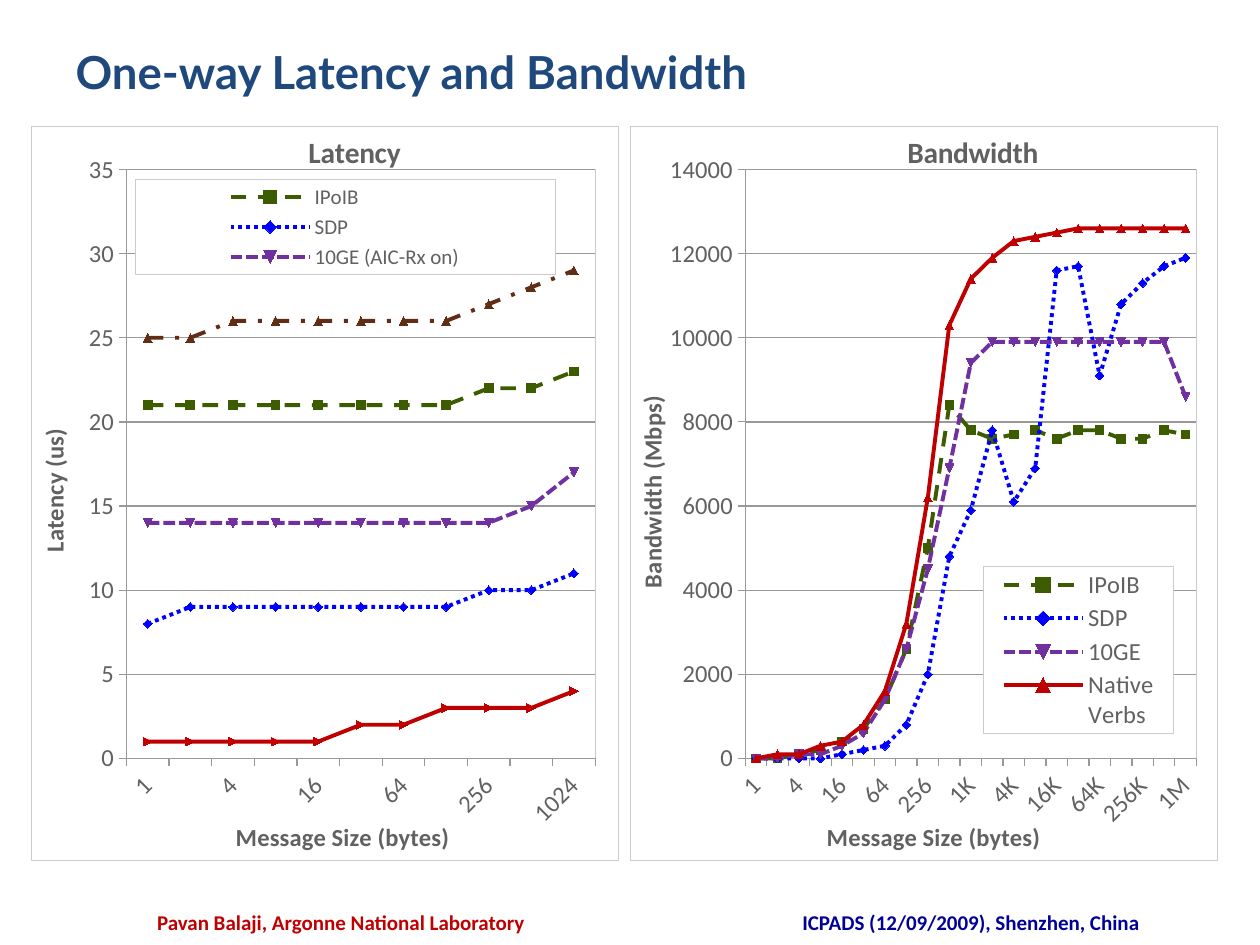
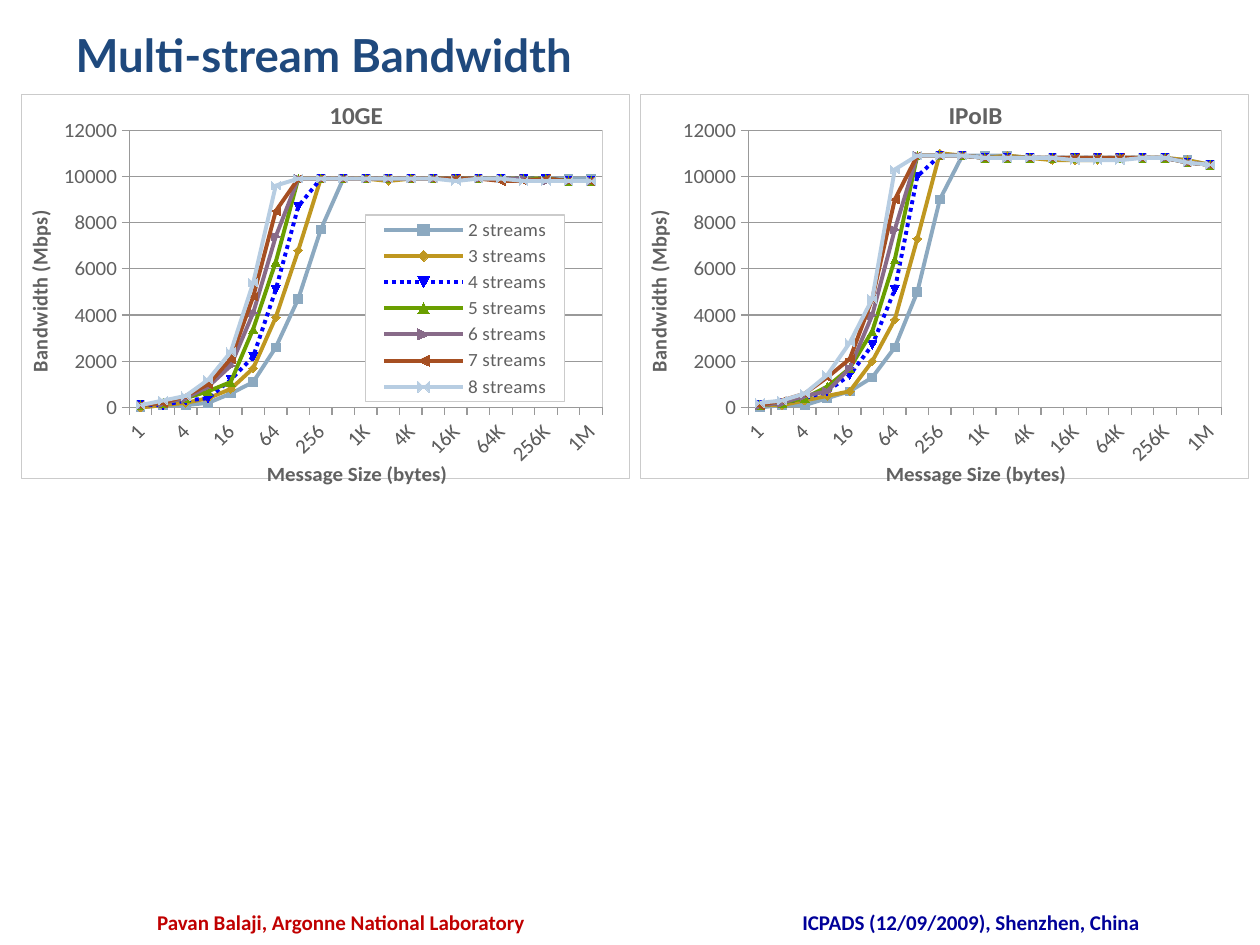
from lxml import etree
from pptx import Presentation
from pptx.chart.data import CategoryChartData
from pptx.dml.color import RGBColor
from pptx.enum.chart import XL_CHART_TYPE, XL_LEGEND_POSITION, XL_TICK_MARK
from pptx.enum.dml import MSO_LINE
from pptx.enum.text import MSO_ANCHOR, PP_ALIGN
from pptx.oxml import parse_xml
from pptx.oxml.ns import nsdecls, qn
from pptx.util import Emu, Pt

LINES = XL_CHART_TYPE.LINE_MARKERS
RIGHT, BOTTOM = XL_LEGEND_POSITION.RIGHT, XL_LEGEND_POSITION.BOTTOM
OUTSIDE = XL_TICK_MARK.OUTSIDE
DASH, DOT = MSO_LINE.DASH, MSO_LINE.ROUND_DOT
SHORT, MIXED = MSO_LINE.SQUARE_DOT, MSO_LINE.DASH_DOT
CENTER, LEFT, TOP = PP_ALIGN.CENTER, PP_ALIGN.LEFT, MSO_ANCHOR.TOP

COLORS = {
    "title": "1F497D", "author": "C00000", "venue": "000099",
    "text": "616161", "frame": "CBCBCB", "grid": "999999",
    "green": "3D5C00", "blue": "0000FF", "purple": "7030A0",
    "brown": "602E14", "red": "C00000", "steel": "8CA9C0",
    "gold": "BF9720", "lime": "6A9F00", "plum": "886B89",
    "rust": "A64F22", "pale": "B7CDE2",
}
BODY, HEAD = "Calibri", "Lato"

# Each style is a colour and a dash.
IPOIB, SDP = ("green", DASH), ("blue", DOT)
TENGE, NORX = ("purple", SHORT), ("brown", MIXED)
VERBS = ("red", None)
STREAMS = [("steel", None), ("gold", None), ("blue", DOT), ("lime", None),
           ("plum", None), ("rust", None), ("pale", None)]

SIZES = [str(2 ** n) for n in range(10)]
SMALL = SIZES + ["1024"]
LARGE = SIZES + [f"{2 ** n}K" for n in range(10)] + ["1M"]

# Latencies are in whole microseconds.
LATENCY = [
    ("IPoIB", IPOIB, [21] * 8 + [22, 22, 23]),
    ("SDP", SDP, [8] + [9] * 7 + [10, 10, 11]),
    ("10GE (AIC-Rx on)", TENGE, [14] * 9 + [15, 17]),
    ("10GE (AIC-Rx off)", NORX, [25, 25] + [26] * 6 + [27, 28, 29]),
    ("Native Verbs", VERBS, [1] * 5 + [2, 2, 3, 3, 3, 4]),
]

# Bandwidths are in units of 100 Mbps.
SINGLE = [
    ("IPoIB", IPOIB, [0, 0, 1, 2, 4, 7, 14, 26, 50, 84, 78, 76, 77, 78, 76,
                      78, 78, 76, 76, 78, 77]),
    ("SDP", SDP, [0, 0, 0, 0, 1, 2, 3, 8, 20, 48, 59, 78, 61, 69, 116,
                  117, 91, 108, 113, 117, 119]),
    ("10GE", TENGE, [0, 0, 1, 1, 3, 6, 14, 26, 45, 69, 94] + [99] * 9 + [86]),
    ("Native Verbs", VERBS, [0, 1, 1, 3, 4, 8, 16, 32, 62, 103, 114, 119, 123,
                             124, 125] + [126] * 6),
]
MULTI_GE = [
    [0, 1, 1, 2, 6, 11, 26, 47, 77] + [99] * 12,
    [0, 1, 2, 4, 8, 17, 39, 68, 99, 99, 99, 98] + [99] * 7 + [98] * 2,
    [1, 1, 3, 4, 12, 22, 51, 87] + [99] * 11 + [98] * 2,
    [1, 2, 4, 7, 11, 34, 63] + [99] * 12 + [98] * 2,
    [1, 2, 4, 9, 18, 41, 74] + [99] * 11 + [98] * 3,
    [1, 2, 5, 10, 21, 48, 85] + [99] * 9 + [98, 98, 99, 98, 98],
    [1, 3, 5, 12, 24, 54, 96] + [99] * 7 + [98, 99, 99, 98, 98, 98, 98],
]
MULTI_IB = [
    [0, 1, 1, 4, 7, 13, 26, 50, 90, 109, 109, 109] + [108] * 7 + [107, 105],
    [1, 1, 3, 5, 7, 20, 38, 73, 110, 109, 108, 109, 108, 107, 107, 107,
     108, 108, 108, 107, 105],
    [1, 2, 4, 7, 14, 27, 51, 100, 109, 109] + [108] * 9 + [106, 105],
    [1, 2, 4, 9, 17, 33, 64, 109, 109, 109] + [108] * 9 + [106, 105],
    [1, 2, 5, 7, 17, 40, 77, 109, 109, 109] + [108] * 9 + [106, 105],
    [1, 3, 6, 13, 21, 47, 90, 109, 109, 109] + [108] * 9 + [106, 105],
    [2, 3, 6, 14, 28, 47, 103, 109, 109, 109] + [108] * 4 + [107] * 3
    + [108] * 2 + [106, 105],
]


def px(n):
    return Emu(round(n * 914400 / 126))


def rgb(name):
    return RGBColor.from_string(COLORS[name])


def style(font, size, color, bold=True, name=BODY):
    font.name, font.size, font.bold = name, Pt(size), bold
    font.color.rgb = rgb(color)


def put(shape, box):
    shape.left, shape.top, shape.width, shape.height = map(px, box)


def write(shape, text, size, color, align, name=BODY):
    frame = shape.text_frame
    frame.word_wrap, frame.vertical_anchor = True, TOP
    frame.text = text
    para = frame.paragraphs[0]
    para.alignment = align
    style(para.font, size, color, name=name)


def add_page(deck, title, top):
    """Add a slide with its title and the two footers."""
    slide = deck.slides.add_slide(deck.slide_layouts[5])
    head = slide.shapes.title
    put(head, (63, top, 1134, 110))
    write(head, title, 26, "title", LEFT, HEAD)
    for text, color, left, wide in (
            ("Pavan Balaji, Argonne National Laboratory", "author", 136, 410),
            ("ICPADS (12/09/2009), Shenzhen, China", "venue", 724, 494)):
        foot = slide.shapes.add_textbox(px(left), px(903), px(wide), px(32))
        write(foot, text, 12, color, CENTER)
    return slide


def place(node, frame, spot, inner=False):
    """Fix a chart part at a spot given in px from the chart's corner."""
    for old in node.findall(qn("c:layout")):
        node.remove(old)
    layout = etree.Element(qn("c:layout"))
    manual = etree.SubElement(layout, qn("c:manualLayout"))
    parts = [("layoutTarget", "inner")] if inner else []
    parts += [("xMode", "edge"), ("yMode", "edge")]
    wide, high = frame[2:]
    parts += [(key, f"{n / full:.4f}") for key, n, full
              in zip("xywh", spot, (wide, high, wide, high))]
    for key, val in parts:
        etree.SubElement(manual, qn("c:" + key)).set("val", val)
    over = node.find(qn("c:overlay"))
    if over is None:
        node.insert(0, layout)
    else:
        over.addprevious(layout)


def outline():
    return parse_xml(
        f'<c:spPr {nsdecls("c", "a")}><a:solidFill><a:srgbClr val="FFFFFF"/>'
        '</a:solidFill><a:ln w="9525"><a:solidFill>'
        f'<a:srgbClr val="{COLORS["frame"]}"/></a:solidFill></a:ln></c:spPr>')


def label(title, text, size, frame, spot):
    title.text_frame.text = text
    style(title.text_frame.paragraphs[0].font, size, "text")
    node = title._element
    node.find(qn("c:overlay")).set("val", "1")
    place(node, frame, spot)


def set_axes(chart, peak, step):
    for axis in (chart.category_axis, chart.value_axis):
        axis.major_tick_mark = OUTSIDE
        axis.format.line.color.rgb = rgb("grid")
        axis.format.line.width = Pt(0.75)
    value = chart.value_axis
    value.minimum_scale, value.maximum_scale, value.major_unit = 0, peak, step
    value.has_major_gridlines = True
    grid = value.major_gridlines.format.line
    grid.color.rgb, grid.width = rgb("grid"), Pt(0.75)
    labels = chart.category_axis.tick_labels
    labels.font.size = chart.font.size
    node = chart.category_axis._element
    node.find(qn("c:txPr")).find(qn("a:bodyPr")).set("rot", "-2700000")
    skip = etree.Element(qn("c:tickLblSkip"))
    skip.set("val", "2")
    node.find(qn("c:noMultiLvlLbl")).addprevious(skip)


def add_legend(chart, frame, spot, size, side):
    chart.has_legend = True
    legend = chart.legend
    legend.position, legend.include_in_layout = side, False
    style(legend.font, size, "text", False)
    node = legend._element
    place(node, frame, spot)
    node.find(qn("c:overlay")).addnext(outline())


def add_lines(slide, frame, cats, rows, size, scale, plot, title, unit, below):
    """Add a line chart; title, unit and below are each (text, x, y)."""
    data = CategoryChartData()
    data.categories = cats
    for name, _, values in rows:
        data.add_series(name, values)
    chart = slide.shapes.add_chart(LINES, *map(px, frame), data).chart
    style(chart.font, size, "text", False)
    chart.has_legend = False
    for part, big, (text, *spot) in (
            (chart.chart_title, size * 1.2, title),
            (chart.value_axis.axis_title, size, unit),
            (chart.category_axis.axis_title, size, below)):
        label(part, text, big, frame, spot)
    set_axes(chart, *scale)
    for line, (_, (color, dash), _) in zip(chart.plots[0].series, rows):
        line.smooth = False
        stroke = line.format.line
        stroke.color.rgb, stroke.width = rgb(color), Pt(2.25)
        if dash:
            stroke.dash_style = dash
        mark = line.marker
        mark.size = 5
        mark.format.fill.solid()
        mark.format.fill.fore_color.rgb = rgb(color)
        mark.format.line.color.rgb = rgb(color)
    chart.plots[0].vary_by_categories = False
    area = chart._chartSpace.chart
    place(area.plotArea, frame, plot, True)
    area.plotArea.append(outline())
    area.addnext(outline())
    return chart


def hundreds(rows):
    return [(name, look, [100 * n for n in vals]) for name, look, vals in rows]


def add_single(deck):
    slide = add_page(deck, "One-way Latency and Bandwidth", 38)
    left, right = (31, 126, 588, 735), (630, 126, 588, 735)
    chart = add_lines(slide, left, SMALL, LATENCY, 14, (35, 5), (95, 43, 470, 590),
                      ("Latency", 272, 0), ("Latency (us)", 1, 298),
                      ("Message Size (bytes)", 200, 690))
    add_legend(chart, left, (104, 53, 421, 95), 12, RIGHT)
    chart = add_lines(slide, right, LARGE, hundreds(SINGLE), 14, (14000, 2000),
                      (115, 43, 452, 590), ("Bandwidth", 272, 0),
                      ("Bandwidth (Mbps)", 0, 265),
                      ("Message Size (bytes)", 192, 690))
    add_legend(chart, right, (354, 441, 190, 167), 14, RIGHT)


def add_multi(deck):
    slide = add_page(deck, "Multi-stream Bandwidth", 21)
    for left, title, names, sets in (
            (21, "10GE", "{} streams", MULTI_GE), (640, "IPoIB", "Series {}", MULTI_IB)):
        first = 2 if sets is MULTI_GE else 1
        rows = [(names.format(n), look, vals) for n, (look, vals)
                in enumerate(zip(STREAMS, sets), first)]
        frame = (left, 94, 609, 399)
        chart = add_lines(slide, frame, LARGE, hundreds(rows), 12, (12000, 2000),
                          (108, 37, 474, 288), (title, 304, 0),
                          ("Bandwidth (Mbps)", 0, 122),
                          ("Message Size (bytes)", 242, 376))
        if sets is MULTI_GE:
            add_legend(chart, frame, (345, 125, 199, 194), 11, BOTTOM)


def main():
    deck = Presentation()
    deck.slide_width, deck.slide_height = px(1260), px(945)
    add_single(deck)
    add_multi(deck)
    deck.save("out.pptx")


if __name__ == "__main__":
    main()
